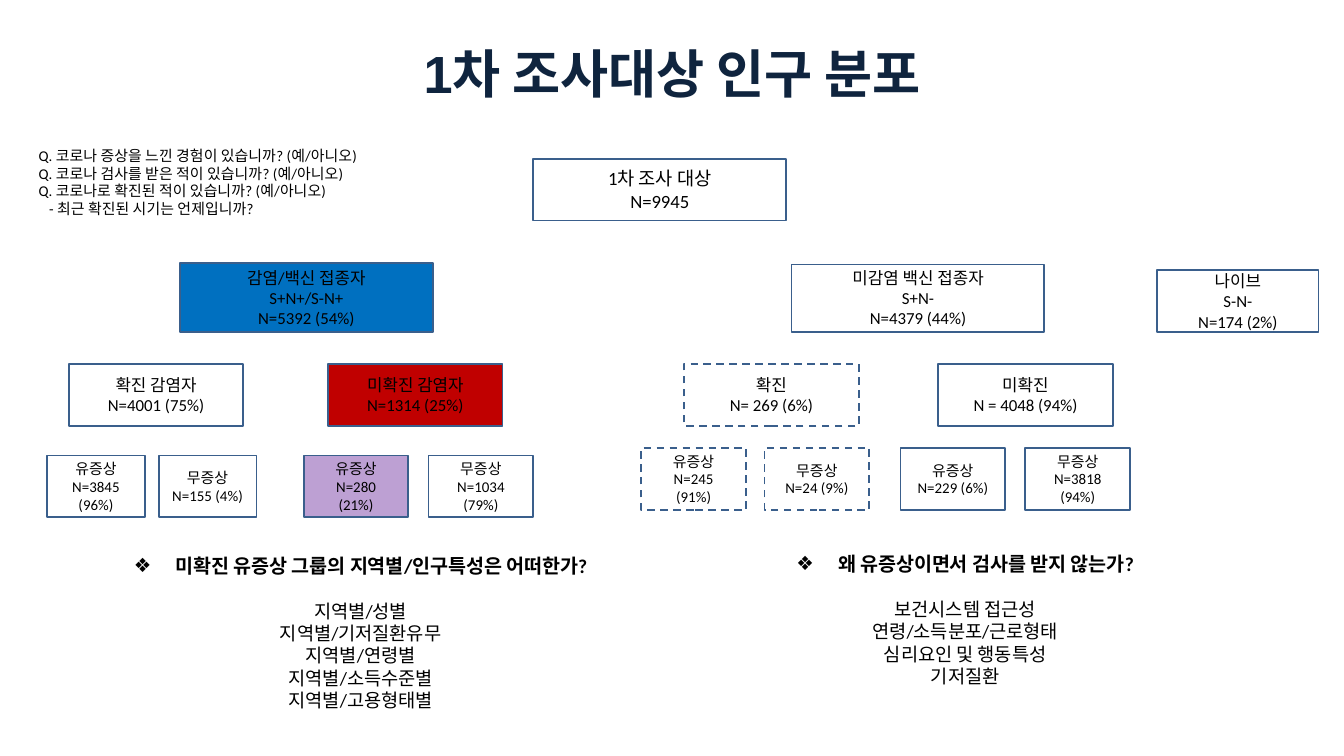
import pptx
import pptx.util
import pptx.dml.color
import pptx.enum.dml
import pptx.enum.shapes
import pptx.enum.text
import pptx.oxml
import pptx.oxml.ns

Cm, Pt = pptx.util.Cm, pptx.util.Pt
RGB = pptx.dml.color.RGBColor.from_string
ALIGN = pptx.enum.text.PP_ALIGN
ANCHOR = pptx.enum.text.MSO_ANCHOR
NS = pptx.oxml.ns.nsdecls("a")
COLORS = {"title": "0F243E", "text": "000000", "line": "3A5F8C",
          "infected": "0070C0", "missed": "C00000", "symptom": "7030A0"}


def write(p, text, size, color="text", name="Calibri", bold=False, align=ALIGN.CENTER):
    """Put one run into paragraph p and format it."""
    p.alignment = align
    r = p.add_run()
    r.text = text
    for key, value in {"size": Pt(size), "name": name, "bold": bold}.items():
        setattr(r.font, key, value)
    r.font.color.rgb = RGB(COLORS[color])


def add_text(s, left, top, width, height):
    """Add a wrapping text box and return its text frame."""
    tf = s.shapes.add_textbox(Cm(left), Cm(top), Cm(width), Cm(height)).text_frame
    tf.word_wrap = True
    return tf


prs = pptx.Presentation()
prs.slide_width, prs.slide_height = Cm(25.4), Cm(14.29)
s = prs.slides.add_slide(prs.slide_layouts[6])

# Title
p = add_text(s, 1.27, 0.79, 22.86, 2.16).paragraphs[0]
p.line_spacing = 0.9
write(p, "1차 조사대상 인구 분포", 28, "title", "Arial", True)

# Population tree: (top, height, text size) and its boxes (left, width, lines, format)
levels = [
    (3.0, 1.17, 10, [(10.08, 4.78, ["1차 조사 대상", "N=9945"], {})]),
    (4.98, 1.3, 9, [
        (3.4, 4.78, ["감염/백신 접종자", "S+N+/S-N+", "N=5392 (54%)"], {"fill": "infected"})]),
    (5.0, 1.27, 9, [(14.96, 4.78, ["미감염 백신 접종자", "S+N-", "N=4379 (44%)"], {})]),
    (5.11, 1.17, 9, [(21.87, 3.05, ["나이브", "S-N-", "N=174 (2%)"], {})]),
    (6.88, 1.17, 9, [
        (1.3, 3.3, ["확진 감염자", "N=4001 (75%)"], {}),
        (6.2, 3.3, ["미확진 감염자", "N=1314 (25%)"], {"fill": "missed"}),
        (12.93, 3.3, ["확진", "N= 269 (6%)"], {"dash": True}),
        (17.73, 3.3, ["미확진", "N = 4048 (94%)"], {})]),
    (8.61, 1.17, 8, [
        (0.89, 1.85, ["유증상", "N=3845 (96%)"], {}),
        (3.0, 1.85, ["무증상", "N=155 (4%)"], {}),
        (5.74, 1.98, ["유증상", "N=280 (21%)"], {"fill": "symptom", "alpha": 46}),
        (8.1, 1.98, ["무증상", "N=1034 (79%)"], {})]),
    (8.47, 1.17, 8, [
        (12.12, 1.98, ["유증상", "N=245 (91%)"], {"dash": True}),
        (14.45, 1.98, ["무증상", "N=24 (9%)"], {"dash": True}),
        (17.02, 1.98, ["유증상", "N=229 (6%)"], {}),
        (19.38, 1.98, ["무증상", "N=3818 (94%)"], {})]),
]
for top, height, size, boxes in levels:
    for left, width, lines, fmt in boxes:
        sp = s.shapes.add_shape(pptx.enum.shapes.MSO_SHAPE.RECTANGLE,
                                Cm(left), Cm(top), Cm(width), Cm(height))
        sp.shadow.inherit = False
        sp.line.color.rgb = RGB(COLORS["line"])
        sp.line.width = Pt(1)
        if fmt.get("dash"):
            sp.line.dash_style = pptx.enum.dml.MSO_LINE.DASH
        if "fill" in fmt:
            sp.fill.solid()
            sp.fill.fore_color.rgb = RGB(COLORS[fmt["fill"]])
        else:
            sp.fill.background()
        if "alpha" in fmt:
            color = sp.fill._xPr.find(".//" + pptx.oxml.ns.qn("a:srgbClr"))
            color.append(pptx.oxml.parse_xml(f'<a:alpha {NS} val="{fmt["alpha"] * 1000}"/>'))
        tf = sp.text_frame
        tf.word_wrap = True
        tf.vertical_anchor = ANCHOR.MIDDLE
        for i, line in enumerate(lines):
            write(tf.add_paragraph() if i else tf.paragraphs[0], line, size)

# Research questions with their factors
topics = [
    (0.58, 10.34, 12.47, "미확진 유증상 그룹의 지역별/인구특성은 어떠한가?",
     ["지역별/성별", "지역별/기저질환유무", "지역별/연령별", "지역별/소득수준별", "지역별/고용형태별"]),
    (11.66, 10.31, 13.16, "왜 유증상이면서 검사를 받지 않는가?",
     ["보건시스템 접근성", "연령/소득분포/근로형태", "심리요인 및 행동특성", "기저질환"]),
]
for left, top, width, heading, factors in topics:
    tf = add_text(s, left, top, width, 3.4)
    p = tf.paragraphs[0]
    write(p, heading, 10.5, bold=True)
    p.space_after = Pt(12)
    pPr = p._p.get_or_add_pPr()
    pPr.set("marL", str(Cm(0.79)))
    pPr.set("indent", str(-Cm(0.79)))
    pPr.append(pptx.oxml.parse_xml(f'<a:buFont {NS} typeface="Arial"/>'))
    pPr.append(pptx.oxml.parse_xml(f'<a:buChar {NS} char="❖"/>'))
    for factor in factors:
        write(tf.add_paragraph(), factor, 10)

# Survey questions
tf = add_text(s, 0.48, 2.64, 8.33, 1.63)
questions = ["Q. 코로나 증상을 느낀 경험이 있습니까? (예/아니오)",
             "Q. 코로나 검사를 받은 적이 있습니까? (예/아니오)",
             "Q. 코로나로 확진된 적이 있습니까? (예/아니오)",
             "- 최근 확진된 시기는 언제입니까?"]
for i, question in enumerate(questions):
    p = tf.add_paragraph() if i else tf.paragraphs[0]
    write(p, question, 8, align=ALIGN.LEFT)
    if question.startswith("-"):
        p._p.get_or_add_pPr().set("marL", str(Cm(0.2)))

prs.save("out.pptx")
